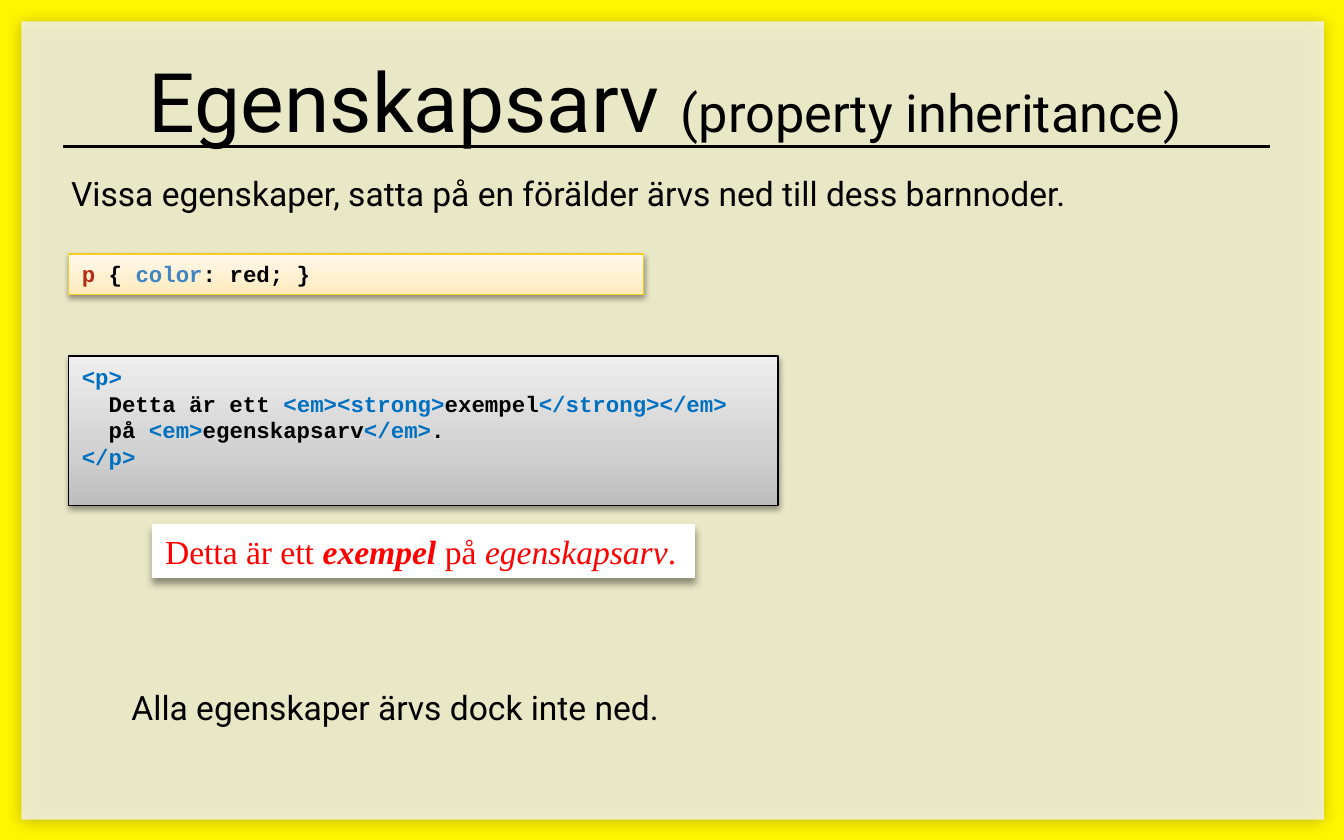
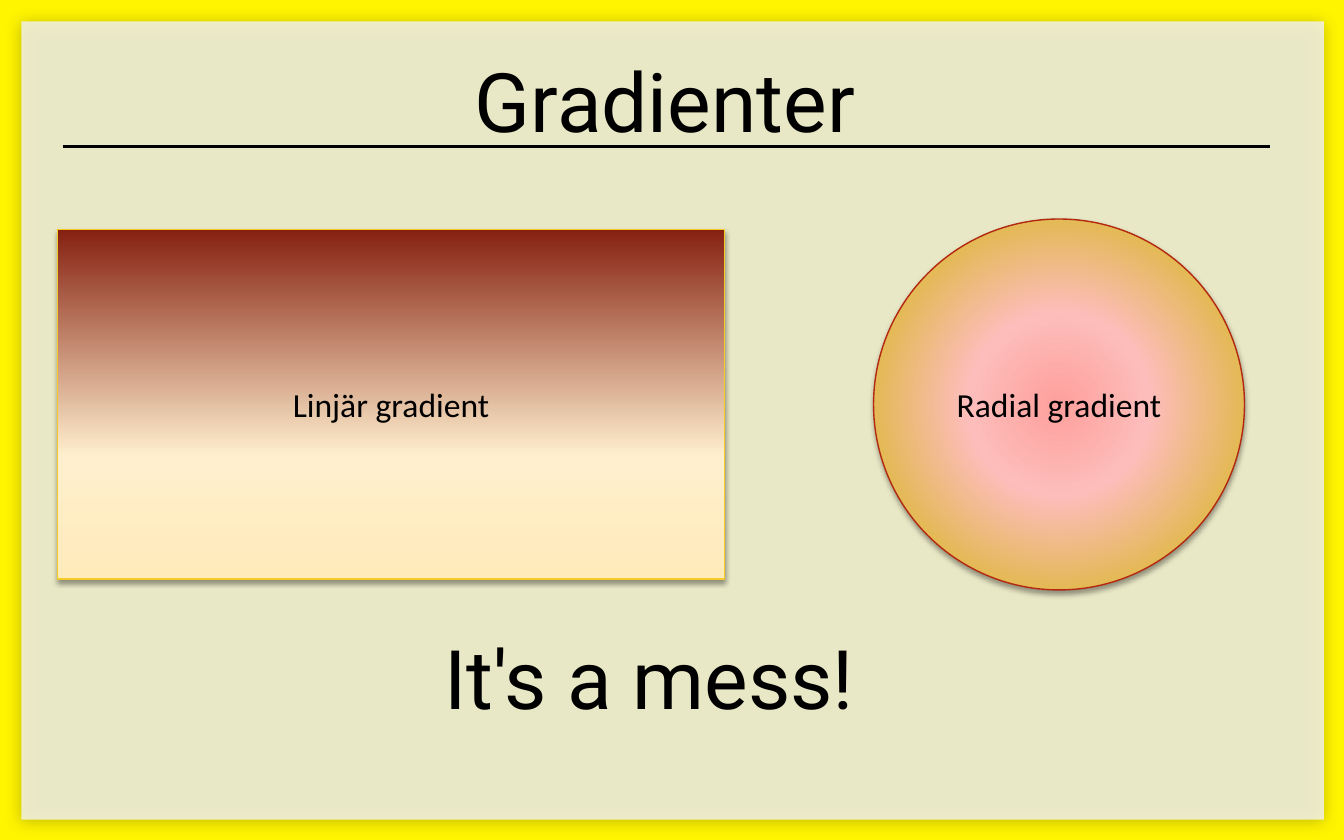
"""Builds two slides on property inheritance and gradients in CSS."""
from lxml import etree
from pptx import Presentation
from pptx.dml.color import RGBColor
from pptx.enum.shapes import MSO_CONNECTOR, MSO_SHAPE
from pptx.enum.text import MSO_ANCHOR, MSO_AUTO_SIZE, PP_ALIGN
from pptx.oxml import parse_xml
from pptx.oxml.ns import nsdecls, qn
from pptx.util import Inches, Pt

RECT, ELLIPSE = MSO_SHAPE.RECTANGLE, MSO_SHAPE.OVAL
STRAIGHT = MSO_CONNECTOR.STRAIGHT
TOP, MIDDLE, BOTTOM = MSO_ANCHOR.TOP, MSO_ANCHOR.MIDDLE, MSO_ANCHOR.BOTTOM
LEFT, CENTER = PP_ALIGN.LEFT, PP_ALIGN.CENTER
FIXED = MSO_AUTO_SIZE.NONE

BLACK, WHITE, YELLOW, PANEL = "000000", "FFFFFF", "FFF500", "F2F2F2"
TAG_BLUE, PROPERTY_BLUE, SELECTOR_RED, RED = "0070C0", "4086C0", "B32C16", "FF0000"
GOLD_LINE, RED_LINE = "F4CB27", "B32812"
CREAM = ("FFEAB9", "FFEFCE", "FFF9EC")
GREY = ("BDBDBD", "D1D1D1", "EEEEEE")
MAROON = ("FFEAB9", "FFEFCE", "862110")
ROSE = ("FEA09D", "FDBDBB", "CEB500")
UPWARD = '<a:lin ang="16200000" scaled="0"/>'
RADIAL = ('<a:path path="circle"><a:fillToRect l="50000" t="50000" '
          'r="50000" b="50000"/></a:path>')
SOFT_SHADOW, CARD_SHADOW, PANEL_SHADOW = (38, 3.1, 1.6), (40, 4, 3), (28, 8, 1)


def rgb(value):
    return RGBColor.from_string(value)


class Deck:
    """Holds the shared style and the slide being drawn."""

    def __init__(self):
        self.prs = Presentation()
        self.prs.slide_width, self.prs.slide_height = Inches(10), Inches(6.25)
        self.layout = self.prs.slide_layouts[5]
        self.slide = None

    def add_slide(self, *title_runs):
        first = self.slide is None
        self.slide = self.prs.slides.add_slide(self.layout)
        if first:
            self.frame_layout()
        title = self.slide.shapes.title
        self.place(title, 0.7, 0.31, 8.5, 0.85)
        self.fill_text(title, [title_runs], "Roboto", 44, align=CENTER, anchor=BOTTOM)

    def frame_layout(self):
        for placeholder in list(self.layout.placeholders):
            if placeholder.placeholder_format.idx:
                self.layout.shapes.element.remove(placeholder.element)
        border = self.shape(RECT, 0, 0, 10, 6.25, YELLOW)
        panel = self.shape(RECT, 0.16, 0.16, 9.69, 5.94, PANEL, shadow=PANEL_SHADOW)
        panel_color = panel.element.spPr.find(qn("a:solidFill"))[0]
        etree.SubElement(panel_color, qn("a:alpha"), val="82000")
        rule = self.rule(0.47, 9.45, 1.09)
        for position, part in enumerate((border, panel, rule), start=2):
            self.layout.shapes.element.insert(position, part.element)

    def place(self, shape, left, top, width, height):
        shape.left, shape.top = Inches(left), Inches(top)
        shape.width, shape.height = Inches(width), Inches(height)

    def rule(self, start, end, y):
        rule = self.slide.shapes.add_connector(
            STRAIGHT, Inches(start), Inches(y), Inches(end), Inches(y))
        rule.line.color.rgb = rgb(BLACK)
        rule.line.width = Pt(1.5)
        etree.SubElement(rule.element.spPr, qn("a:effectLst"))
        return rule

    def shape(self, preset, left, top, width, height, fill, line=None, shadow=None):
        shape = self.slide.shapes.add_shape(
            preset, Inches(left), Inches(top), Inches(width), Inches(height))
        shape.fill.solid()
        shape.shadow.inherit = False
        if isinstance(fill, str):
            shape.fill.fore_color.rgb = rgb(fill)
        else:
            self.gradient(shape, fill, RADIAL if preset == ELLIPSE else UPWARD)
        if line:
            shape.line.color.rgb = rgb(line)
            shape.line.width = Pt(0.75)
        else:
            shape.line.fill.background()
        if shadow:
            self.cast_shadow(shape, *shadow)
        return shape

    def gradient(self, shape, colors, direction):
        stops = "".join(
            f'<a:gs pos="{position}000"><a:srgbClr val="{color}"/></a:gs>'
            for position, color in zip((0, 35, 100), colors))
        properties = shape.element.spPr
        properties.replace(properties.find(qn("a:solidFill")), parse_xml(
            f'<a:gradFill {nsdecls("a")} rotWithShape="1">'
            f"<a:gsLst>{stops}</a:gsLst>{direction}</a:gradFill>"))

    def cast_shadow(self, shape, opacity, blur, distance):
        shape.element.spPr.find(qn("a:effectLst")).append(parse_xml(
            f'<a:outerShdw {nsdecls("a")} blurRad="{Pt(blur)}" dist="{Pt(distance)}" '
            f'dir="5400000" rotWithShape="0"><a:srgbClr val="{BLACK}">'
            f'<a:alpha val="{opacity}000"/></a:srgbClr></a:outerShdw>'))

    def text(self, left, top, width, height, words, size=18):
        box = self.slide.shapes.add_textbox(
            Inches(left), Inches(top), Inches(width), Inches(height))
        self.fill_text(box, [[(words, {})]], "Roboto", size, wrap=False)

    def fill_text(self, shape, lines, font, size, color=BLACK, bold=False,
                  align=LEFT, anchor=TOP, wrap=True):
        frame = shape.text_frame
        frame.word_wrap = wrap
        frame.auto_size = FIXED
        frame.vertical_anchor = anchor
        for index, line in enumerate(lines):
            paragraph = frame.paragraphs[0] if index == 0 else frame.add_paragraph()
            paragraph.alignment = align
            for words, overrides in line:
                run = paragraph.add_run()
                run.text = words
                run.font.name = font
                run.font.size = Pt(overrides.get("size", size))
                run.font.bold = overrides.get("bold", bold)
                run.font.italic = overrides.get("italic", False)
                run.font.color.rgb = rgb(overrides.get("color", color))

    def code(self, left, top, width, height, fill, line, lines):
        box = self.shape(RECT, left, top, width, height, fill, line, SOFT_SHADOW)
        self.fill_text(box, lines, "Courier New", 12, bold=True)

    def sample(self, preset, left, top, width, height, fill, line, label):
        sample = self.shape(preset, left, top, width, height, fill, line, SOFT_SHADOW)
        self.fill_text(sample, [[(label, {})]], "Calibri", 18,
                       align=CENTER, anchor=MIDDLE)


def inheritance_slide(deck):
    tag, italic = {"color": TAG_BLUE}, {"italic": True}
    deck.add_slide(("Egenskapsarv ", {}), ("(property inheritance)", {"size": 28}))
    deck.text(0.43, 1.24, 7.79, 0.4,
              "Vissa egenskaper, satta på en förälder ärvs ned till dess barnnoder.")
    deck.code(0.51, 1.89, 4.28, 0.3, CREAM, GOLD_LINE, [
        [("p ", {"color": SELECTOR_RED}), ("{ ", {}),
         ("color", {"color": PROPERTY_BLUE}), (": red; }", {})]])
    deck.code(0.51, 2.65, 5.28, 1.11, GREY, BLACK, [
        [("<p>", tag)],
        [("  Detta är ett ", {}), ("<em><strong>", tag), ("exempel", {}),
         ("</strong></em>", tag)],
        [("  på", {}), (" <em>", tag), ("egenskapsarv", {}), ("</em>", tag), (".", {})],
        [("</p>", tag)]])
    rendered = deck.shape(RECT, 1.13, 3.9, 4.04, 0.4, WHITE, shadow=CARD_SHADOW)
    deck.fill_text(rendered, [[
        ("Detta är ett ", {}), ("exempel", {"bold": True, "italic": True}),
        (" på ", {}), ("egenskapsarv", italic), (".", {})]],
        "Times New Roman", 18, color=RED, wrap=False)
    deck.text(0.88, 5.06, 4.54, 0.4, "Alla egenskaper ärvs dock inte ned.")


def gradient_slide(deck):
    deck.add_slide(("Gradienter", {}))
    deck.sample(RECT, 0.43, 1.71, 4.96, 2.6, MAROON, GOLD_LINE, "Linjär gradient")
    deck.text(3.21, 4.62, 3.35, 0.84, "It's a mess!", size=44)
    deck.sample(ELLIPSE, 6.5, 1.63, 2.76, 2.76, ROSE, RED_LINE, "Radial gradient")


def main():
    deck = Deck()
    inheritance_slide(deck)
    gradient_slide(deck)
    deck.prs.save("out.pptx")


if __name__ == "__main__":
    main()
